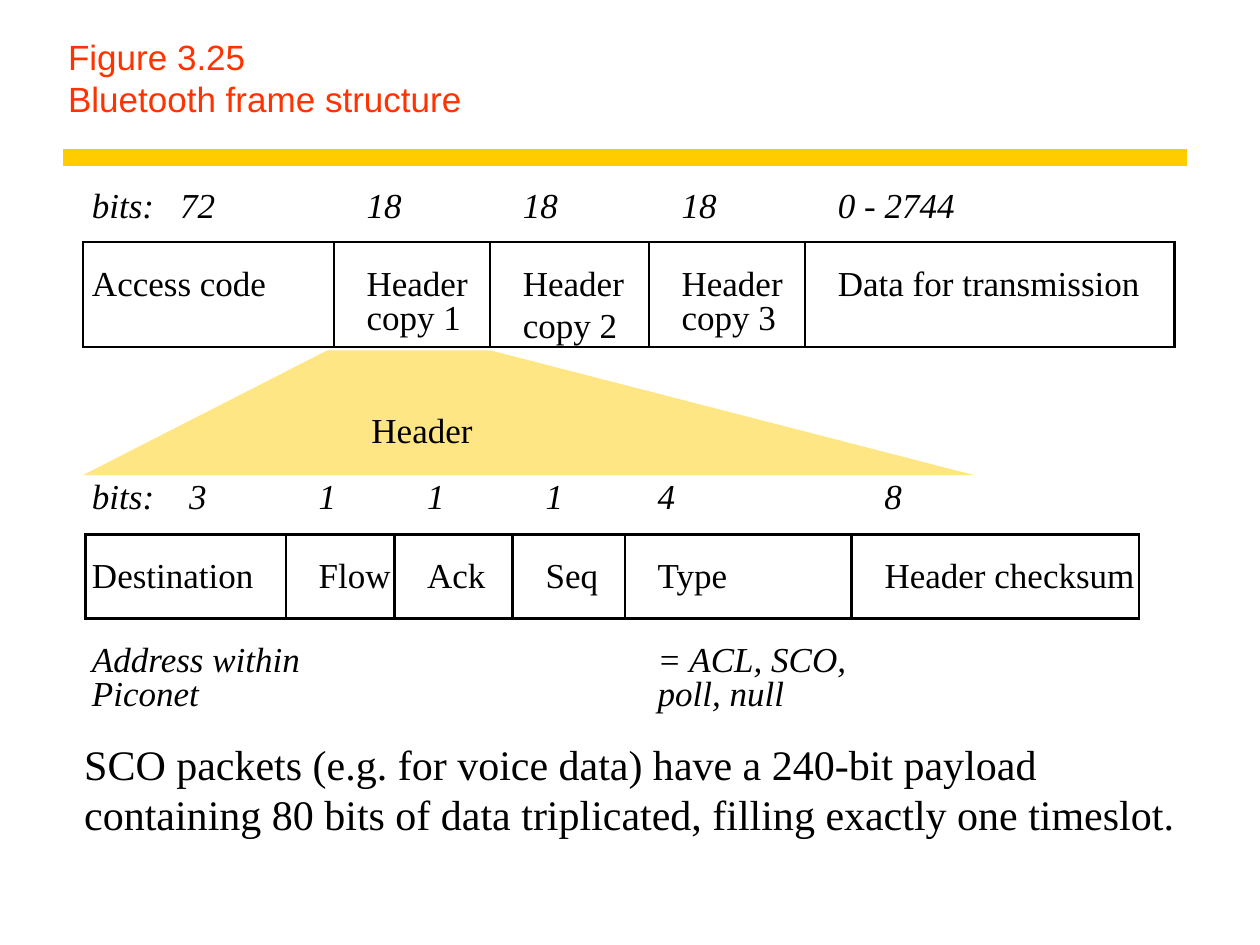
from dataclasses import dataclass

from lxml import etree
from pptx import Presentation
from pptx.dml.color import RGBColor
from pptx.enum.shapes import MSO_CONNECTOR
from pptx.enum.text import MSO_ANCHOR, MSO_AUTO_SIZE, PP_ALIGN
from pptx.oxml.ns import qn
from pptx.util import Inches, Pt

STRAIGHT = MSO_CONNECTOR.STRAIGHT
LOW, TOP = MSO_ANCHOR.BOTTOM, MSO_ANCHOR.TOP
LEFT = PP_ALIGN.LEFT
NO_FIT, GROW = MSO_AUTO_SIZE.NONE, MSO_AUTO_SIZE.SHAPE_TO_FIT_TEXT

BLACK = RGBColor(0x00, 0x00, 0x00)
GOLD = RGBColor(0xFF, 0xCC, 0x00)
RED = RGBColor(0xFF, 0x33, 0x00)

COLS, ROWS = 100, 75
WIDE, HIGH = Inches(10), Inches(7.5)
COL, ROW = WIDE / COLS, HIGH / ROWS
PAD = 2.6  # columns from a divider to its text
SLACK = 0.3  # spare columns that keep a label on one line
LINE = 2.7  # rows from one label line to the next
TALL = 3.3  # rows in one label

PLAIN = {"name": "Times New Roman", "size": Pt(20), "italic": False}
SLOPE = {**PLAIN, "italic": True}
BODY = {**PLAIN, "size": Pt(24)}
HEAD = {"name": "Arial", "size": Pt(20), "bold": False}


@dataclass
class Label:
    text: str
    cols: float
    tab: float = 0


@dataclass
class Field:
    edge: float
    bits: Label
    name: tuple[Label, ...]
    note: tuple[Label, ...] = ()


@dataclass
class Frame:
    top: float
    base: float
    right: float
    bits_row: float
    name_row: float
    note_row: float
    fields: tuple[Field, ...]


ONE = Label("1", 1.4)
TWICE = Label("18", 2.8)

PACKET = Frame(19.2, 27.55, 93.2, 14.6, 20.75, 0, (
    Field(6.6, Label("bits:\t72", 10, 7), (Label("Access code", 13.8),)),
    Field(26.5, TWICE, (Label("Header", 8), Label("copy 1", 7.5))),
    Field(38.9, TWICE, (Label("Header\vcopy 2", 8),)),
    Field(51.5, TWICE, (Label("Header", 8), Label("copy 3", 7.5))),
    Field(63.9, Label("0 - 2744", 9.3), (Label("Data for transmission", 24),)),
))
HEADER = Frame(42.4, 49.1, 90.4, 37.65, 43.9, 50.6, (
    Field(6.8, Label("bits:\t3", 9.5, 7.7), (Label("Destination", 12.8),),
          (Label("Address within", 16.6), Label("Piconet", 8.5))),
    Field(22.7, ONE, (Label("Flow", 5.7),)),
    Field(31.3, ONE, (Label("Ack", 4.6),)),
    Field(40.7, ONE, (Label("Seq", 4.2),)),
    Field(49.6, Label("4", 1.4), (Label("Type", 5.7),),
          (Label("= ACL, SCO,", 15), Label("poll, null", 10.1))),
    Field(67.6, Label("8", 1.4), (Label("Header checksum", 19.9),)),
))


def style(text, form: dict, ink: RGBColor) -> None:
    for para in text.paragraphs:
        para.alignment = LEFT
        for run in para.runs:
            for key, value in form.items():
                setattr(run.font, key, value)
            run.font.color.rgb = ink


def place(shape, col: float, row: float, cols: float, rows: float) -> None:
    spots = {"left": col * COL, "top": row * ROW,
             "width": cols * COL, "height": rows * ROW}
    for key, value in spots.items():
        setattr(shape, key, round(value))


def write(slide, label: Label, col: float, row: float, form: dict,
          rows: float = TALL, inset: bool = False, wrap: bool = False) -> None:
    box = slide.shapes.add_textbox(0, 0, 0, 0)
    place(box, col, row, label.cols + SLACK, rows)
    text = box.text_frame
    text.text = label.text
    frame = {"word_wrap": wrap or label.tab > 0, "auto_size": GROW,
             "vertical_anchor": TOP}
    if not inset:
        frame |= dict.fromkeys(("margin_left", "margin_top",
                                "margin_right", "margin_bottom"), 0)
    for key, value in frame.items():
        setattr(text, key, value)
    if label.tab:
        props = text.paragraphs[0]._p.get_or_add_pPr()
        tabs = etree.SubElement(props, qn("a:tabLst"))
        etree.SubElement(tabs, qn("a:tab"),
                         pos=str(round(label.tab * COL)), algn="l")
    style(text, form, BLACK)


def rule(slide, start: tuple[float, float], end: tuple[float, float],
         ink: RGBColor = BLACK, width: float = 1.5) -> None:
    ends = [round(v * unit) for spot in (start, end)
            for v, unit in zip(spot, (COL, ROW))]
    line = slide.shapes.add_connector(STRAIGHT, *ends)
    line.line.color.rgb = ink
    line.line.width = Pt(width)
    etree.SubElement(line._element.spPr, qn("a:effectLst"))


def draw(slide, frame: Frame) -> None:
    left = frame.fields[0].edge
    for i, field in enumerate(frame.fields):
        col = field.edge + PAD if i else 7.3
        groups = (((field.bits,), frame.bits_row, SLOPE),
                  (field.name, frame.name_row, PLAIN),
                  (field.note, frame.note_row, SLOPE))
        for labels, row, form in groups:
            for n, label in enumerate(labels):
                lines = label.text.count("\v") + 1
                write(slide, label, col, row + n * LINE, form, TALL * lines)
    for edge in [field.edge for field in frame.fields] + [frame.right]:
        rule(slide, (edge, frame.top), (edge, frame.base))
    for row in (frame.top, frame.base):
        rule(slide, (left - 0.1, row), (frame.right + 0.1, row))


def zoom(slide) -> None:
    """Fan out from the first header copy to the header's own fields."""
    spots = [(26, 27.8), (6.6, 37.7), (77.3, 37.7), (38.9, 27.8)]
    points = [(round(x * COL), round(y * ROW)) for x, y in spots]
    pen = slide.shapes.build_freeform(*points[0])
    pen.add_line_segments(points[1:], close=True)
    fan = pen.convert_to_shape()
    fan.shadow.inherit = False
    fan.fill.solid()
    fan.fill.fore_color.rgb = GOLD
    tint = fan._element.spPr.find(".//" + qn("a:srgbClr"))
    etree.SubElement(tint, qn("a:alpha"), val="48000")
    fan.line.fill.background()


def main() -> None:
    deck = Presentation()
    deck.slide_width, deck.slide_height = WIDE, HIGH
    slide = deck.slides.add_slide(deck.slide_layouts[5])
    rule(slide, (5, 12.5), (94.2, 12.5), GOLD, 10)

    title = slide.shapes.title
    place(title, 4.4, 2.5, 89.7, 7.5)
    title.text_frame.text = "Figure 3.25\vBluetooth frame structure"
    for key, value in {"vertical_anchor": LOW, "auto_size": NO_FIT}.items():
        setattr(title.text_frame, key, value)
    style(title.text_frame, HEAD, RED)

    note = Label("SCO packets (e.g. for voice data) have a 240-bit payload "
                 "containing 80 bits of data triplicated, "
                 "filling exactly one timeslot.", 89.5)
    write(slide, note, 5.7, 58.1, BODY, rows=9, inset=True, wrap=True)
    draw(slide, PACKET)
    draw(slide, HEADER)
    zoom(slide)
    write(slide, Label("Header", 10), 28.5, 31.9, PLAIN, rows=4.4, inset=True)
    deck.save("out.pptx")


if __name__ == "__main__":
    main()
